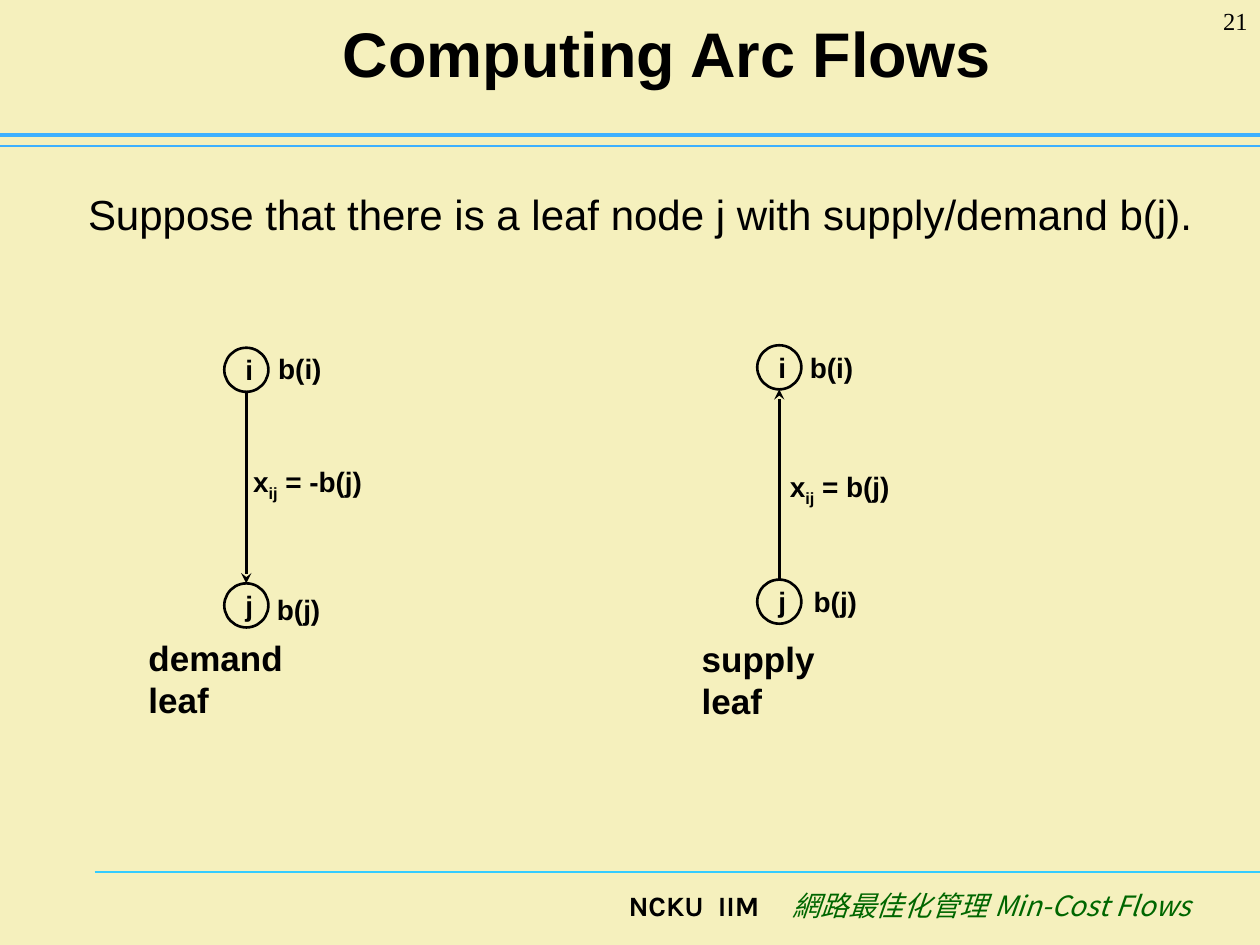
from lxml import etree
from pptx import Presentation
from pptx.dml.color import RGBColor
from pptx.enum.shapes import MSO_CONNECTOR, MSO_SHAPE
from pptx.enum.text import MSO_ANCHOR, PP_ALIGN
from pptx.oxml.ns import qn
from pptx.util import Inches, Pt

CREAM = RGBColor(0xF5, 0xF0, 0xBD)
BLUE = RGBColor(0x3D, 0xB0, 0xFF)
CYAN = RGBColor(0x33, 0xCC, 0xFF)
GREEN = RGBColor(0x00, 0x66, 0x00)
BLACK = RGBColor(0, 0, 0)
LEFT, CENTER, RIGHT = PP_ALIGN.LEFT, PP_ALIGN.CENTER, PP_ALIGN.RIGHT
TOP, MIDDLE = MSO_ANCHOR.TOP, MSO_ANCHOR.MIDDLE
STRAIGHT, OVAL = MSO_CONNECTOR.STRAIGHT, MSO_SHAPE.OVAL
NODE_SIZE = 0.35


def format_run(r, size, bold=False, font="Arial", color=BLACK, italic=False):
    r.font.size = Pt(size)
    r.font.bold = bold
    r.font.italic = italic
    r.font.name = font
    r.font.color.rgb = color


def add_text(slide, box, parts, size, bold=False, align=LEFT, wrap=True, font="Arial"):
    """Text box with one paragraph; parts are its runs."""
    s = slide.shapes.add_textbox(*map(Inches, box))
    s.text_frame.word_wrap = wrap
    p = s.text_frame.paragraphs[0]
    p.alignment = align
    for part in parts:
        r = p.add_run()
        r.text = part
        format_run(r, size, bold, font)
    return p


def add_line(slide, start, end, color, width, arrow=False):
    s = slide.shapes.add_connector(STRAIGHT, *map(Inches, (*start, *end)))
    s.line.color.rgb = color
    s.line.width = Pt(width)
    if arrow:
        etree.SubElement(s.line._get_or_add_ln(), qn("a:tailEnd"), type="stealth")
    etree.SubElement(s._element.spPr, qn("a:effectLst"))


def add_header(slide, left, top, width, height):
    # Title, page number and the double rule
    s = slide.shapes.title
    s.left, s.top, s.width, s.height = map(Inches, (left, top, width, height))
    tf = s.text_frame
    tf.text = "Computing Arc Flows "
    tf.vertical_anchor = MIDDLE
    p = tf.paragraphs[0]
    p.alignment = CENTER
    format_run(p.runs[0], 36, bold=True)
    add_text(slide, (9.17, 0, 0.83, 0.5), ["21"], 14, align=RIGHT, font="Times New Roman")
    for y, weight in ((1.16, 0.75), (1.07, 2.5)):
        add_line(slide, (0, y), (10, y), BLUE, weight)


def add_footer(slide, left, top, width, height):
    add_line(slide, (0.75, 6.92), (10, 6.92), CYAN, 0.75)
    p = add_text(slide, (left, top, width, height),
                 ["NCKU\tIIM\t", "網路最佳化管理 Min-Cost Flows"], 16, bold=True, font="Karla")
    # Tab stops set the gaps between the three parts
    tabs = etree.SubElement(p._p.get_or_add_pPr(), qn("a:tabLst"))
    for stop in (0.71, 1.3):
        etree.SubElement(tabs, qn("a:tab"), pos=str(Inches(stop)), algn="l")
    course = p.runs[1]
    format_run(course, 16, font="Noto Sans CJK SC", color=GREEN, italic=True)
    etree.SubElement(course.font._element, qn("a:ea"), typeface="Noto Sans CJK SC")


def add_leaf_diagram(slide, left, top, node_gap, downward, flow, labels, caption):
    """Nodes i and j joined by an arc; label places are relative to left, top."""
    # Nodes
    for name, y in (("i", top), ("j", top + node_gap)):
        s = slide.shapes.add_shape(OVAL, *map(Inches, (left, y, NODE_SIZE, NODE_SIZE)))
        s.shadow.inherit = False
        s.fill.background()
        s.line.color.rgb = BLACK
        s.line.width = Pt(1.5)
        add_text(slide, (left + 0.07, y - 0.01, 0.26, 0.37), [name], 16, bold=True, wrap=False)

    # Arc
    x = left + NODE_SIZE / 2
    ends = [(x, top + NODE_SIZE), (x, top + node_gap)]
    start, end = ends if downward else reversed(ends)
    add_line(slide, start, end, BLACK, 1.5, arrow=True)

    # Supplies and flow
    for parts, (dx, dy), width in zip((["b(i)"], ["b(j)"], ["x", "ij", flow]),
                                      labels, (0.87, 0.87, 1.09)):
        p = add_text(slide, (left + dx, top + dy, width, 0.37), parts, 16, bold=True)
        if len(parts) > 1:
            p.runs[1].font._element.set("baseline", "-25000")

    # Caption
    text, dx, dy, width = caption
    add_text(slide, (left + dx, top + dy, width, 0.43), [text], 20, bold=True, wrap=False)


def main():
    prs = Presentation()
    prs.slide_width, prs.slide_height = Inches(10), Inches(7.5)
    slide = prs.slides.add_slide(prs.slide_layouts[5])
    slide.background.fill.solid()
    slide.background.fill.fore_color.rgb = CREAM

    add_header(slide, 0.73, 0.23, 9.27, 0.37)
    add_text(slide, (0.6, 1.45, 9.08, 0.59),
             ["Suppose that there is a leaf node j with supply/demand b(j)."], 24)
    add_leaf_diagram(slide, 1.78, 2.76, 1.87, True, " = -b(j)",
                     ((0.33, -0.02), (0.32, 1.89), (0.13, 0.88)),
                     ("demand leaf", -0.7, 2.24, 1.82))
    add_leaf_diagram(slide, 6.01, 2.74, 1.86, False, " = b(j)",
                     ((0.32, -0.01), (0.35, 1.85), (0.16, 0.94)),
                     ("supply leaf", -0.54, 2.27, 1.65))
    add_footer(slide, 4.89, 7, 4.9, 0.5)
    prs.save("out.pptx")


if __name__ == "__main__":
    main()
